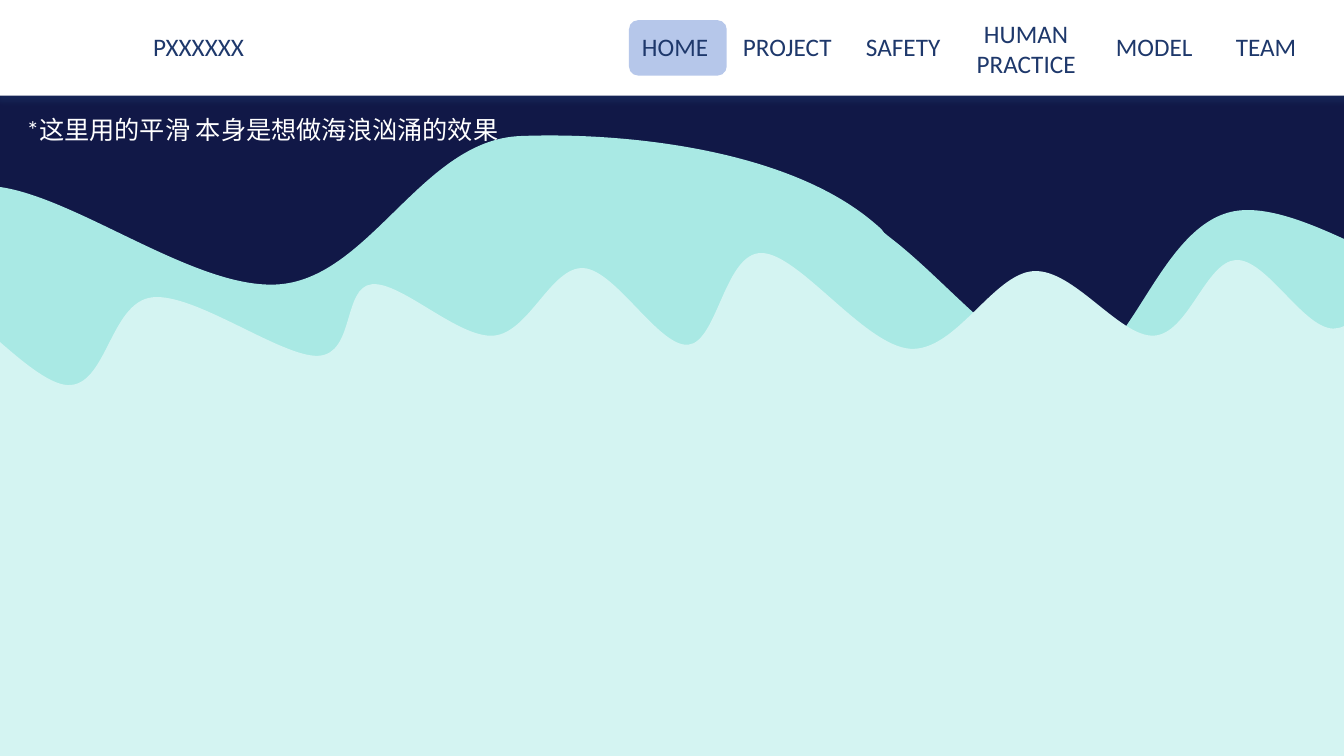
import lxml.etree
import pptx
import pptx.dml.color
import pptx.enum.shapes
import pptx.enum.text
import pptx.oxml
import pptx.oxml.ns
import pptx.util

Pt = pptx.util.Pt
qn = pptx.oxml.ns.qn
SHAPES = pptx.enum.shapes.MSO_SHAPE
ALIGN = pptx.enum.text.PP_ALIGN

COLORS = {
    "night": "111847",
    "navy": "1E386B",
    "white": "FFFFFF",
    "active": "B6C7EA",
    "far_wave": "A9E9E4",
    "near_wave": "D4F4F2",
}
TEXT_FORMAT = {"name": "Calibri", "size": Pt(18)}
PAGE_WIDTH, PAGE_HEIGHT = 960, 540

# Top and height of a label with one or two lines
ONE_LINE = (18.9, 29.08)
TWO_LINES = (9.36, 51.12)

# Menu label: left edge, lines and alignment
MENU_WIDTH = 96.48
MENU = {
    "HOME": (451.44, ONE_LINE, ALIGN.LEFT),
    "HUMAN PRACTICE": (684.72, TWO_LINES, ALIGN.CENTER),
    "PROJECT": (514.08, ONE_LINE, ALIGN.CENTER),
    "SAFETY": (596.88, ONE_LINE, ALIGN.CENTER),
    "MODEL": (776.16, ONE_LINE, ALIGN.CENTER),
    "TEAM": (856.08, ONE_LINE, ALIGN.CENTER),
}

# A wave is a row of turning points: x, y, reach, tilt. The handles of a point
# are (x - reach, y - tilt) and (x + reach, y + tilt), so the curve is smooth.
# The row repeats every "period" and sinks by "drop" each time.
# Wave numbers are in units of 72 points.
WAVE_UNIT = 72
SEA_BED = PAGE_HEIGHT / WAVE_UNIT
WAVES = {
    "far_wave": {
        "left": -19.86, "right": 35.47, "period": 24.93, "drop": 0.37,
        "turns": [
            (-1.89, 3.41, 0.66, 0),
            (-0.25, 1.85, 0.77, -0.1),
            (2.78, 2.82, 0.9, -0.08),
            (5.16, 1.35, 0.97, -0.04),
            (8.66, 2.2, 0.88, 0.74),
            (8.86, 2.38, 0.59, 0.46),
            (10.64, 3.65, 0.58, 0),
            (12.28, 2.09, 0.78, -0.1),
            (15.3, 3.06, 0.9, -0.08),
            (17.9, 1.58, 1.03, 0),
            (21.19, 2.44, 0.76, 0.63),
            (21.41, 2.64, 0.55, 0.46),
        ],
    },
    "near_wave": {
        "left": -3.95, "right": 35.48, "period": 16.94, "drop": 0,
        "turns": [
            (-0.84, 2.82, 0.37, 0),
            (0.67, 3.82, 0.39, 0.02),
            (1.51, 2.95, 0.42, -0.05),
            (3.16, 3.53, 0.36, -0.02),
            (3.69, 2.82, 0.29, -0.03),
            (4.9, 3.33, 0.35, -0.03),
            (5.79, 2.66, 0.32, 0.02),
            (6.83, 3.42, 0.29, -0.03),
            (7.56, 2.51, 0.37, 0.01),
            (9.03, 3.46, 0.45, 0.03),
            (10.25, 2.69, 0.4, -0.03),
            (11.45, 3.33, 0.34, -0.02),
            (12.26, 2.58, 0.3, -0.02),
            (13.23, 3.26, 0.3, 0),
            (14.04, 2.62, 0.29, 0),
            (14.97, 3.28, 0.28, 0.02),
        ],
    },
}


def rgb(name):
    return pptx.dml.color.RGBColor.from_string(COLORS[name])


def paint(shape, color):
    shape.shadow.inherit = False
    shape.fill.solid()
    shape.fill.fore_color.rgb = rgb(color)
    shape.line.fill.background()


def add_block(page, kind, left, top, width, height, color):
    block = page.shapes.add_shape(kind, Pt(left), Pt(top), Pt(width), Pt(height))
    paint(block, color)
    return block


def add_drop_shadow(shape, color, opacity, blur, distance, angle):
    effects = shape._element.spPr.find(qn("a:effectLst"))
    shadow = lxml.etree.SubElement(
        effects, qn("a:outerShdw"), blurRad=str(Pt(blur)), dist=str(Pt(distance)),
        dir=str(angle * 60000), algn="t", rotWithShape="0")
    tint = lxml.etree.SubElement(shadow, qn("a:srgbClr"), val=COLORS[color])
    lxml.etree.SubElement(tint, qn("a:alpha"), val=str(opacity * 1000))


def add_label(page, text, left, top, width, height, color, align=ALIGN.LEFT):
    box = page.shapes.add_textbox(Pt(left), Pt(top), Pt(width), Pt(height))
    frame = box.text_frame
    frame.word_wrap = True
    frame.auto_size = pptx.enum.text.MSO_AUTO_SIZE.SHAPE_TO_FIT_TEXT
    para = frame.paragraphs[0]
    para.alignment = align
    span = para.add_run()
    span.text = text
    for key, value in TEXT_FORMAT.items():
        setattr(span.font, key, value)
    span.font.color.rgb = rgb(color)


def repeat_turns(left, right, period, drop, turns):
    """Repeat the turning points from edge to edge, and end on the sea bed."""
    margin = 1
    row = [(x + turn * period, y + turn * drop, reach, tilt)
           for turn in (-1, 0, 1, 2) for x, y, reach, tilt in turns]
    inside = [point for point in row if left + margin < point[0] < right - margin]
    return [(left, SEA_BED, 0, 0), *inside, (right, SEA_BED, 0, 0)]


def handle(point, gap, side):
    """Give the handle before (-1) or after (1) a point, no longer than the gap."""
    x, y, reach, tilt = point
    scale = side * min(1, gap / reach) if reach else 0
    return x + scale * reach, y + scale * tilt


def add_wave(page, points, color):
    def place(x, y):
        return Pt(x * WAVE_UNIT), Pt(y * WAVE_UNIT)

    # Straight outline through the turning points
    corners = [place(x, y) for x, y, reach, tilt in points]
    builder = page.shapes.build_freeform(*corners[0])
    builder.add_line_segments(corners[1:], close=True)
    wave = builder.convert_to_shape()
    paint(wave, color)

    # Bend each side into a curve; the closing side stays straight
    sides = list(wave._element.iter(qn("a:lnTo")))
    for side, start, end in zip(sides, points, points[1:]):
        gap = end[0] - start[0]
        curve = pptx.oxml.parse_xml(f'<a:cubicBezTo {pptx.oxml.ns.nsdecls("a")}/>')
        for control in (handle(start, gap, 1), handle(end, gap, -1)):
            x, y = place(*control)
            lxml.etree.SubElement(
                curve, qn("a:pt"), x=str(x - wave.left), y=str(y - wave.top))
        curve.append(side[0])
        side.getparent().replace(side, curve)


def main():
    deck = pptx.Presentation()
    deck.slide_width, deck.slide_height = Pt(PAGE_WIDTH), Pt(PAGE_HEIGHT)
    page = deck.slides.add_slide(deck.slide_layouts[6])
    page.background.fill.solid()
    page.background.fill.fore_color.rgb = rgb("night")

    # Top bar with the active tab and the badge
    bar = add_block(page, SHAPES.RECTANGLE, -1.44, 0, 962.64, 68.4, "white")
    add_drop_shadow(bar, "navy", opacity=40, blur=4, distance=3, angle=90)
    add_block(page, SHAPES.ROUNDED_RECTANGLE, 449.28, 14.4, 69.84, 39.6, "active")
    add_block(page, SHAPES.OVAL, 30.96, 9.36, 51.84, 48.24, "white")

    # Site name and menu
    add_label(page, "PXXXXXX", 102.24, ONE_LINE[0], 319.68, ONE_LINE[1], "navy")
    for text, (left, (top, height), align) in MENU.items():
        add_label(page, text, left, top, MENU_WIDTH, height, "navy", align)

    # Waves, the far one first
    for color, wave in WAVES.items():
        add_wave(page, repeat_turns(**wave), color)

    # Note
    add_label(page, "*这里用的平滑 本身是想做海浪汹涌的效果",
              11.88, 78.2, 378, ONE_LINE[1], "white")
    deck.save("out.pptx")


if __name__ == "__main__":
    main()
